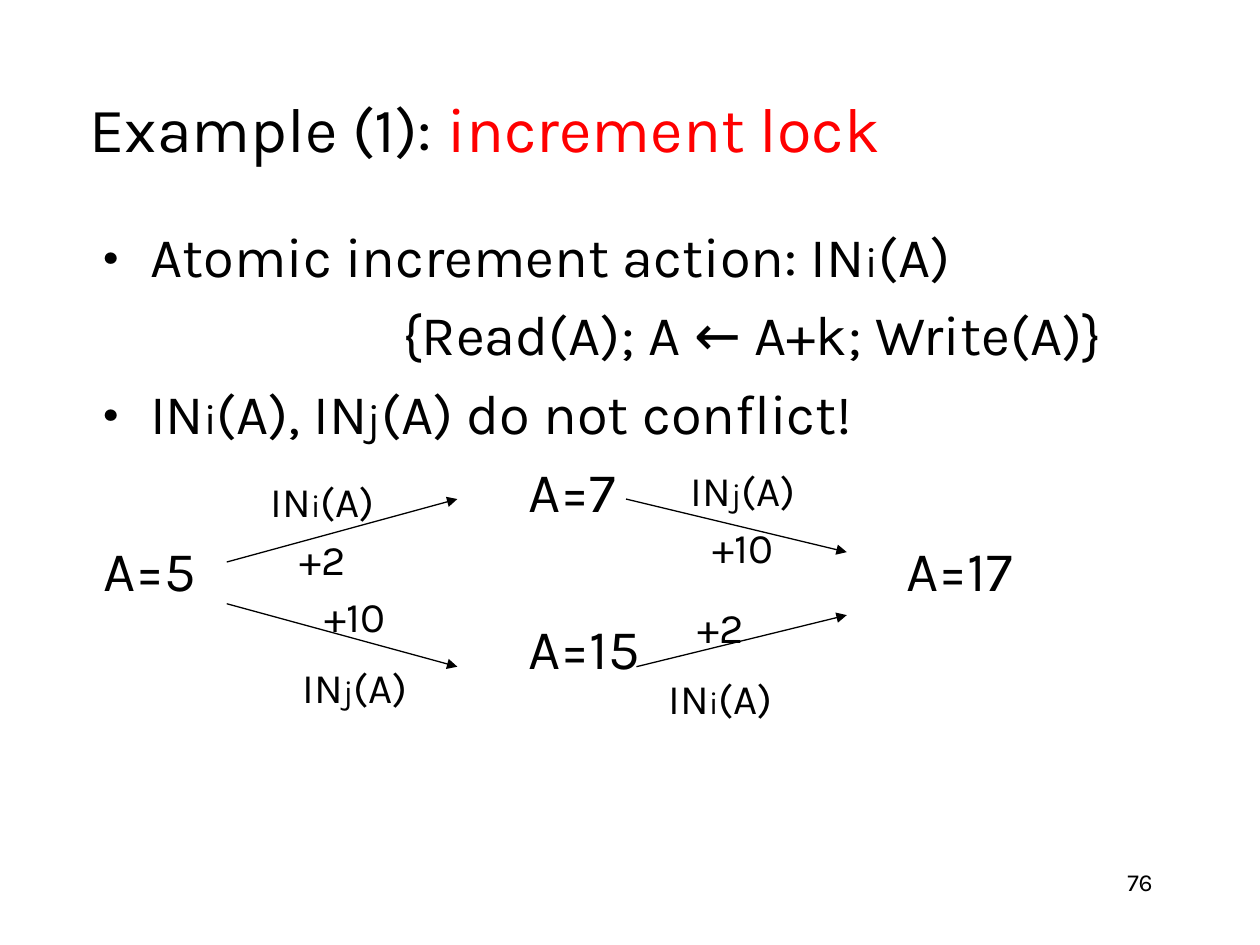
from typing import NamedTuple

from lxml.etree import SubElement
from pptx import Presentation
from pptx.dml.color import RGBColor
from pptx.enum.shapes import MSO_CONNECTOR
from pptx.enum.text import MSO_ANCHOR, MSO_AUTO_SIZE, PP_ALIGN
from pptx.oxml.ns import qn
from pptx.util import Cm, Pt

BLACK = RGBColor(0, 0, 0)
RED = RGBColor(255, 0, 0)
FONT = "Karla"
HANGING = Cm(0.95)
TAB_WIDTH = Cm(2.54)


class Run(NamedTuple):
    text: str
    size: float
    color: RGBColor = BLACK


class Line(NamedTuple):
    runs: list[Run]
    bullet: bool = False
    spacing: float | None = None


class Box(NamedTuple):
    left: float
    top: float
    width: float
    height: float


class Arrow(NamedTuple):
    start: tuple[float, float]
    end: tuple[float, float]


class StepLabel(NamedTuple):
    box: Box
    lines: list[Line]


def action(index: str, size: float, index_size: float) -> list[Run]:
    """Runs for IN(A) with a smaller index letter."""
    return [Run("IN", size), Run(index, index_size), Run("(A)", size)]


def place(shape, box: Box) -> None:
    shape.left, shape.top, shape.width, shape.height = map(Cm, box)


def write(frame, lines: list[Line], *, align=PP_ALIGN.LEFT, anchor=MSO_ANCHOR.TOP,
          wrap=True, gap=0.0, hanging=False) -> None:
    frame.word_wrap = wrap
    frame.vertical_anchor = anchor
    for number, line in enumerate(lines):
        paragraph = frame.add_paragraph() if number else frame.paragraphs[0]
        paragraph.alignment = align
        paragraph.space_before = Pt(gap if number else 0)
        if line.spacing:
            paragraph.line_spacing = line.spacing
        if hanging:
            properties = paragraph._p.get_or_add_pPr()
            properties.set("marL", str(HANGING))
            properties.set("indent", str(-HANGING))
            properties.set("defTabSz", str(TAB_WIDTH))
            if line.bullet:
                SubElement(properties, qn("a:buFont"), typeface=FONT)
                SubElement(properties, qn("a:buChar"), char="•")
            else:
                SubElement(properties, qn("a:buNone"))
        for part in line.runs:
            run = paragraph.add_run()
            run.text = part.text
            run.font.name = FONT
            run.font.size = Pt(part.size)
            run.font.color.rgb = part.color


def add_text(slide, box: Box, lines: list[Line], **layout):
    text_box = slide.shapes.add_textbox(*map(Cm, box))
    write(text_box.text_frame, lines, **layout)
    return text_box


def add_arrow(slide, arrow: Arrow) -> None:
    connector = slide.shapes.add_connector(
        MSO_CONNECTOR.STRAIGHT, *map(Cm, arrow.start + arrow.end))
    connector.line.color.rgb = BLACK
    connector.line.width = Pt(0.75)
    SubElement(connector.line._get_or_add_ln(), qn("a:tailEnd"), type="triangle")
    SubElement(connector._element.spPr, qn("a:effectLst"))


def add_step_label(slide, label: StepLabel) -> None:
    text_box = add_text(slide, label.box, label.lines, align=PP_ALIGN.CENTER,
                        anchor=MSO_ANCHOR.MIDDLE, wrap=False, gap=12)
    text_box.text_frame.auto_size = MSO_AUTO_SIZE.SHAPE_TO_FIT_TEXT


TITLE = [Line([Run("Example (1): ", 36), Run("increment lock", 36, RED)])]
BODY = [
    Line([Run("Atomic increment action: ", 32), *action("i", 32, 24)], bullet=True),
    Line([Run("\t\t\t{Read(A); A ← A+k; Write(A)}", 32)]),
    Line([*action("i", 32, 24), Run(", ", 32), *action("j", 32, 24),
          Run(" do not conflict!", 32)], bullet=True),
    Line([Run("\t\t\t\tA=7", 32)]),
    Line([Run("A=5\t\t\t\t\t\tA=17", 32)]),
    Line([Run("\t\t\t\tA=15", 32)]),
]
ARROWS = [
    Arrow((4.57, 11.33), (9.22, 10.06)),
    Arrow((4.57, 12.17), (9.22, 13.44)),
    Arrow((12.62, 10.06), (17.07, 11.13)),
    Arrow((12.83, 13.44), (17.07, 12.4)),
]
IN_I = Line(action("i", 24, 18))
IN_J = Line(action("j", 24, 18))
STEP_LABELS = [
    StepLabel(Box(5.16, 9.42, 2.69, 2.49), [IN_I, Line([Run("+2", 24)], spacing=0.7)]),
    StepLabel(Box(13.61, 9.19, 2.74, 2.49), [IN_J, Line([Run("+10", 24)], spacing=0.7)]),
    StepLabel(Box(5.79, 11.73, 2.74, 2.79), [Line([Run("+10", 24)]), IN_J]),
    StepLabel(Box(13.18, 11.96, 2.69, 2.79), [Line([Run("+2", 24)]), IN_I]),
]


def main() -> None:
    presentation = Presentation()
    presentation.slide_width = Cm(25.4)
    presentation.slide_height = Cm(19.05)
    slide = presentation.slides.add_slide(presentation.slide_layouts[5])

    title = slide.shapes.title
    place(title, Box(1.55, 0.97, 21.59, 3.18))
    write(title.text_frame, TITLE, anchor=MSO_ANCHOR.MIDDLE)
    add_text(slide, Box(1.83, 4.34, 21.59, 11.43), BODY, gap=6.4, hanging=True)
    for arrow in ARROWS:
        add_arrow(slide, arrow)
    for label in STEP_LABELS:
        add_step_label(slide, label)
    add_text(slide, Box(18.21, 17.35, 5.28, 1.27), [Line([Run("76", 14)])],
             align=PP_ALIGN.RIGHT)
    presentation.save("out.pptx")


if __name__ == "__main__":
    main()
